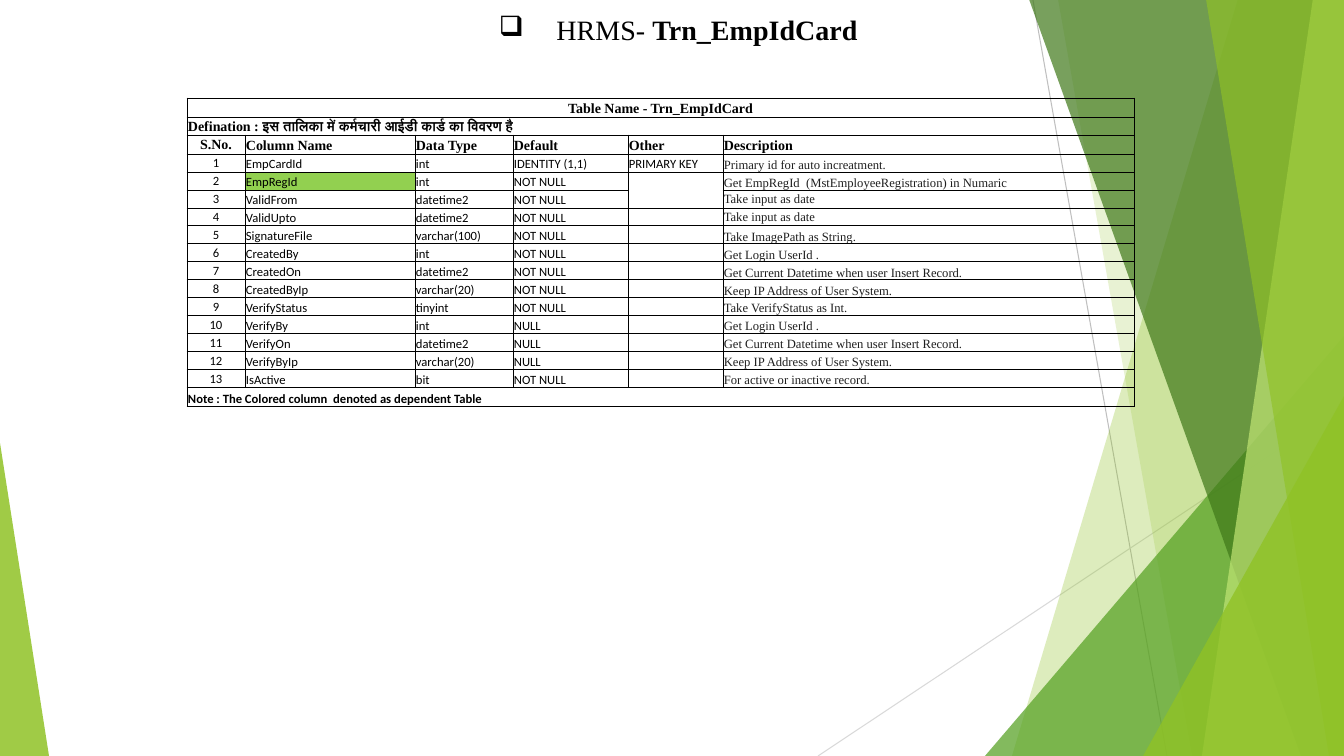
from dataclasses import dataclass
from typing import Optional

from lxml.etree import SubElement
from pptx import Presentation
from pptx.dml.color import RGBColor
from pptx.enum.shapes import MSO_CONNECTOR, MSO_SHAPE
from pptx.enum.text import MSO_ANCHOR, PP_ALIGN
from pptx.oxml.ns import qn
from pptx.util import Emu, Pt

EMU_PER_PX = 914400 / 100.8
SLIDE_WIDTH, SLIDE_HEIGHT = 1344, 756
BLACK, GREY, GREEN = "000000", "1F1F1F", "90C226"
SERIF, SANS = "Times New Roman", "Calibri"


@dataclass
class Ray:
    start: tuple[int, int]
    end: tuple[int, int]
    color: str


@dataclass
class Band:
    top_left: int
    bottom_left: int
    color: str
    opacity: int


@dataclass
class Wedge:
    left: int
    top: int
    width: int
    apex: int
    color: str
    opacity: int


@dataclass
class CellStyle:
    size: int = 9
    font: str = SANS
    color: str = BLACK
    bold: bool = False
    align: PP_ALIGN = PP_ALIGN.LEFT
    anchor: MSO_ANCHOR = MSO_ANCHOR.BOTTOM
    fill: Optional[str] = None


RAYS = [
    Ray((1033, 0), (1167, SLIDE_HEIGHT), "BFBFBF"),
    Ray((SLIDE_WIDTH, 406), (818, SLIDE_HEIGHT), "D9D9D9"),
]
FACETS = [
    Band(1238, 1012, GREEN, 30),
    Band(1058, 1192, GREEN, 20),
    Wedge(985, 336, 359, 1, "54A021", 72),
    Band(1029, 1301, "3F7819", 70),
    Band(1313, 1202, "C0E474", 70),
    Band(1206, 1329, GREEN, 65),
    Wedge(1143, 396, 201, 1, GREEN, 80),
    Wedge(0, 443, 49, 0, GREEN, 85),
]

COLUMN_WIDTHS = [58, 170, 98, 115, 95, 411]
ROW_HEIGHTS = [19, 18, 19] + [18] * 13 + [19]
HEADINGS = ["S.No.", "Column Name", "Data Type", "Default", "Other", "Description"]
FIELDS = [
    ("EmpCardId", "int", "IDENTITY (1,1)", "PRIMARY KEY", "Primary id for auto increatment."),
    ("EmpRegId", "int", "NOT NULL", "", "Get EmpRegId  (MstEmployeeRegistration) in Numaric"),
    ("ValidFrom", "datetime2", "NOT NULL", "", "Take input as date"),
    ("ValidUpto", "datetime2", "NOT NULL", "", "Take input as date"),
    ("SignatureFile", "varchar(100)", "NOT NULL", "", "Take ImagePath as String."),
    ("CreatedBy", "int", "NOT NULL", "", "Get Login UserId ."),
    ("CreatedOn", "datetime2", "NOT NULL", "", "Get Current Datetime when user Insert Record."),
    ("CreatedByIp", "varchar(20)", "NOT NULL", "", "Keep IP Address of User System."),
    ("VerifyStatus", "tinyint", "NOT NULL", "", "Take VerifyStatus as Int."),
    ("VerifyBy", "int", "NULL", "", "Get Login UserId ."),
    ("VerifyOn", "datetime2", "NULL", "", "Get Current Datetime when user Insert Record."),
    ("VerifyByIp", "varchar(20)", "NULL", "", "Keep IP Address of User System."),
    ("IsActive", "bit", "NOT NULL", "", "For active or inactive record."),
]
OPEN_SIDES = {(4, 4): "lnB", (5, 4): "lnT"}


def px(length: int) -> Emu:
    return Emu(round(length * EMU_PER_PX))


def rgb(color: str) -> RGBColor:
    return RGBColor.from_string(color)


def draw_ray(slide, ray: Ray) -> None:
    line = slide.shapes.add_connector(MSO_CONNECTOR.STRAIGHT, *map(px, ray.start + ray.end))
    line.line.color.rgb = rgb(ray.color)
    line.line.width = Pt(0.75)
    SubElement(line.element.spPr, qn("a:effectLst"))


def draw_facet(slide, facet: Band | Wedge) -> None:
    if isinstance(facet, Band):
        outline = slide.shapes.build_freeform(facet.top_left, -1, scale=EMU_PER_PX)
        outline.add_line_segments(
            [(SLIDE_WIDTH, -1), (SLIDE_WIDTH, SLIDE_HEIGHT), (facet.bottom_left, SLIDE_HEIGHT)])
        shape = outline.convert_to_shape()
    else:
        shape = slide.shapes.add_shape(
            MSO_SHAPE.ISOSCELES_TRIANGLE, px(facet.left), px(facet.top),
            px(facet.width), px(SLIDE_HEIGHT - facet.top))
        shape.adjustments[0] = facet.apex
    shape.shadow.inherit = False
    shape.line.fill.background()
    shape.fill.solid()
    shape.fill.fore_color.rgb = rgb(facet.color)
    tint = shape.element.spPr.find(f"{qn('a:solidFill')}/{qn('a:srgbClr')}")
    SubElement(tint, qn("a:alpha"), val=str(facet.opacity * 1000))


def draw_title(slide) -> None:
    frame = slide.shapes.add_textbox(px(163), px(8), px(829), px(126)).text_frame
    frame.word_wrap = True
    title = frame.paragraphs[0]
    title.level = 4
    title.alignment = PP_ALIGN.CENTER
    properties = title._p.get_or_add_pPr()
    properties.set("marL", "2286000")
    properties.set("indent", "-457200")
    SubElement(properties, qn("a:buChar"), char="❑")
    title.font.size = Pt(20)
    title.font.name = SERIF
    title.font.color.rgb = rgb(BLACK)
    title.add_run().text = " HRMS- "
    table_name = title.add_run()
    table_name.text = "Trn_EmpIdCard"
    table_name.font.bold = True


def draw_borders(cell, open_side: Optional[str]) -> None:
    properties = cell._tc.get_or_add_tcPr()
    for index, side in enumerate(("lnL", "lnR", "lnT", "lnB")):
        border = SubElement(properties, qn(f"a:{side}"), w=str(Pt(0.5)))
        properties.insert(index, border)
        if side == open_side:
            SubElement(border, qn("a:noFill"))
        else:
            SubElement(SubElement(border, qn("a:solidFill")), qn("a:srgbClr"), val=BLACK)


def write_cell(cell, text: str, style: CellStyle) -> None:
    cell.margin_left = cell.margin_right = cell.margin_top = px(1)
    cell.margin_bottom = 0
    cell.vertical_anchor = style.anchor
    if style.fill:
        cell.fill.solid()
        cell.fill.fore_color.rgb = rgb(style.fill)
    else:
        cell.fill.background()
    paragraph = cell.text_frame.paragraphs[0]
    paragraph.alignment = style.align
    paragraph.font.size = Pt(style.size)
    paragraph.font.name = style.font
    paragraph.font.bold = style.bold
    paragraph.font.color.rgb = rgb(style.color)
    if text:
        paragraph.add_run().text = text


def body_style(column: int, text: str) -> CellStyle:
    if column == 0:
        return CellStyle(align=PP_ALIGN.CENTER, anchor=MSO_ANCHOR.MIDDLE)
    if column == 5:
        centred = text == "Take input as date"
        return CellStyle(font=SERIF, color=GREY,
                         anchor=MSO_ANCHOR.MIDDLE if centred else MSO_ANCHOR.BOTTOM)
    return CellStyle(fill="92D050" if text == "EmpRegId" else None)


def draw_definition_table(slide) -> None:
    table = slide.shapes.add_table(
        len(ROW_HEIGHTS), len(COLUMN_WIDTHS), px(187), px(98),
        px(sum(COLUMN_WIDTHS)), px(sum(ROW_HEIGHTS))).table
    table.first_row = table.horz_banding = False
    for column, width in zip(table.columns, COLUMN_WIDTHS):
        column.width = px(width)
    for row, height in zip(table.rows, ROW_HEIGHTS):
        row.height = px(height)

    heading = CellStyle(size=10, font=SERIF, bold=True)
    centred_heading = CellStyle(size=10, font=SERIF, bold=True, align=PP_ALIGN.CENTER)
    number_heading = CellStyle(size=10, font=SERIF, bold=True, align=PP_ALIGN.CENTER,
                               anchor=MSO_ANCHOR.MIDDLE)
    full_rows = {
        0: ("Table Name - Trn_EmpIdCard", centred_heading),
        1: ("Defination : इस तालिका में कर्मचारी आईडी कार्ड का विवरण है", heading),
        16: ("Note : The Colored column  denoted as dependent Table", CellStyle(bold=True)),
    }
    for row, (text, style) in full_rows.items():
        table.cell(row, 0).merge(table.cell(row, 5))
        for column in range(6):
            write_cell(table.cell(row, column), "" if column else text, style)
    for column, text in enumerate(HEADINGS):
        write_cell(table.cell(2, column), text, heading if column else number_heading)
    for number, field in enumerate(FIELDS, start=1):
        for column, text in enumerate((str(number), *field)):
            write_cell(table.cell(number + 2, column), text, body_style(column, text))
    for row in range(len(ROW_HEIGHTS)):
        for column in range(len(COLUMN_WIDTHS)):
            draw_borders(table.cell(row, column), OPEN_SIDES.get((row, column)))


def main() -> None:
    presentation = Presentation()
    presentation.slide_width, presentation.slide_height = px(SLIDE_WIDTH), px(SLIDE_HEIGHT)
    slide = presentation.slides.add_slide(presentation.slide_layouts[6])
    for ray in RAYS:
        draw_ray(slide, ray)
    for facet in FACETS:
        draw_facet(slide, facet)
    draw_title(slide)
    draw_definition_table(slide)
    presentation.save("out.pptx")


if __name__ == "__main__":
    main()
